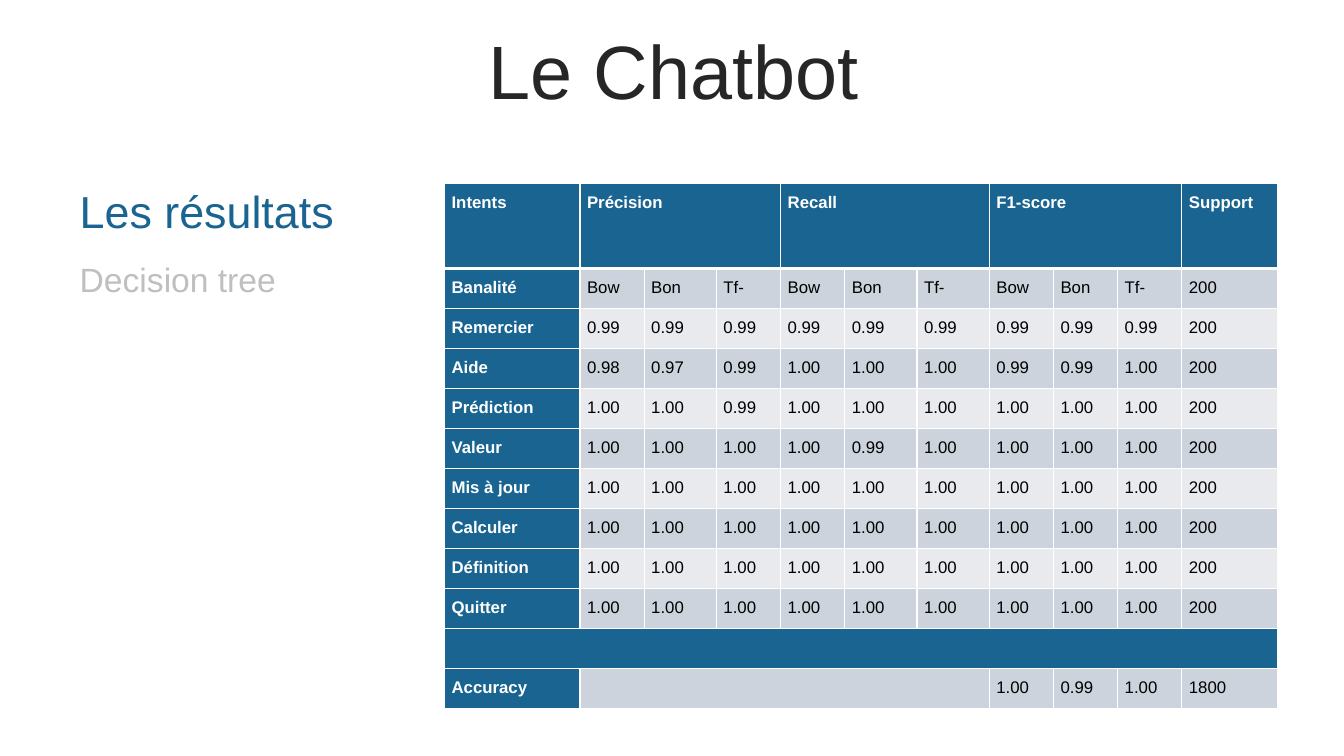
from dataclasses import dataclass
from typing import Any

from lxml.etree import SubElement
from pptx import Presentation
from pptx.dml.color import RGBColor
from pptx.enum.text import MSO_ANCHOR, MSO_AUTO_SIZE, PP_ALIGN
from pptx.oxml.ns import qn
from pptx.util import Inches, Pt

WIDTH, HEIGHT = Inches(13.33), Inches(7.5)
BLUE = RGBColor(0x19, 0x64, 0x91)
INK = RGBColor(0x26, 0x26, 0x26)
SILVER = RGBColor(0xBF, 0xBF, 0xBF)
WHITE = RGBColor(0xFF, 0xFF, 0xFF)
BLACK = RGBColor(0, 0, 0)
BAND_DARK = RGBColor(0xCC, 0xD3, 0xDC)
BAND_LIGHT = RGBColor(0xE8, 0xEA, 0xEE)


@dataclass(frozen=True)
class Box:
    left: float
    top: float
    width: float
    height: float

    def emu(self) -> tuple[int, int, int, int]:
        return (int(WIDTH * self.left / 100), int(HEIGHT * self.top / 100),
                int(WIDTH * self.width / 100), int(HEIGHT * self.height / 100))


@dataclass(frozen=True)
class Label:
    text: str
    box: Box
    size: int
    color: RGBColor


@dataclass(frozen=True)
class Span:
    row: int
    first: int
    last: int


TITLE = Label("Le Chatbot", Box(2.63, 4.67, 94.97, 10.53), 54, INK)
LABELS = [
    Label("Les résultats", Box(5.63, 24.27, 25.06, 7.2), 32, BLUE),
    Label("Decision tree", Box(5.63, 34.27, 25.06, 5.33), 24, SILVER),
]
TABLE = Box(33.08, 24.27, 61.97, 69.47)
COL_SHARES = [1.35, 0.64, 0.72, 0.64, 0.64, 0.72, 0.72, 0.64, 0.64, 0.64, 0.95]
ROW_SHARES = [0.85] + [0.4] * 11
SPANS = [Span(0, 1, 3), Span(0, 4, 6), Span(0, 7, 9), Span(10, 0, 10), Span(11, 1, 6)]
PERFECT = ["1.00"] * 9
ROWS = [
    ["Intents", "Précision", "", "", "Recall", "", "", "F1-score", "", "", "Support"],
    ["Banalité", *["Bow", "Bon", "Tf-"] * 3, "200"],
    ["Remercier", *["0.99"] * 9, "200"],
    ["Aide", "0.98", "0.97", "0.99", *["1.00"] * 3, "0.99", "0.99", "1.00", "200"],
    ["Prédiction", "1.00", "1.00", "0.99", *["1.00"] * 6, "200"],
    ["Valeur", *["1.00"] * 4, "0.99", *["1.00"] * 4, "200"],
    *[[intent, *PERFECT, "200"]
      for intent in ("Mis à jour", "Calculer", "Définition", "Quitter")],
    [""] * 11,
    ["Accuracy", *[""] * 6, "1.00", "0.99", "1.00", "1800"],
]
SEPARATOR_ROW = 10

LABEL_FRAME = {
    "word_wrap": True, "vertical_anchor": MSO_ANCHOR.MIDDLE,
    "margin_left": Inches(0.04), "margin_right": Inches(0.04),
    "margin_top": 0, "margin_bottom": 0,
}
CELL_FRAME = {
    "vertical_anchor": MSO_ANCHOR.TOP,
    "margin_left": Inches(0.07), "margin_right": Inches(0.07),
    "margin_top": 0, "margin_bottom": 0,
}
TITLE_PARAGRAPH = {"alignment": PP_ALIGN.CENTER, "line_spacing": 0.9}
LABEL_PARAGRAPH = {"alignment": PP_ALIGN.LEFT}
CELL_PARAGRAPH = {"alignment": PP_ALIGN.JUSTIFY, "line_spacing": 1.5}


def apply(target: Any, values: dict[str, Any]) -> None:
    for name, value in values.items():
        setattr(target, name, value)


def write(p: Any, text: str, size: int, color: RGBColor, bold: bool = False) -> None:
    r = p.add_run()
    r.text = text
    apply(r.font, {"name": "Arial", "size": Pt(size), "bold": bold})
    r.font.color.rgb = color


def fill_label(sp: Any, label: Label, paragraph: dict[str, Any], fit: MSO_AUTO_SIZE) -> None:
    apply(sp, dict(zip(("left", "top", "width", "height"), label.box.emu())))
    tf = sp.text_frame
    apply(tf, {**LABEL_FRAME, "auto_size": fit})
    p = tf.paragraphs[0]
    apply(p, paragraph)
    write(p, label.text, label.size, label.color)


def add_borders(cell: Any, top: int, bottom: int) -> None:
    tc_pr = cell._tc.get_or_add_tcPr()
    for side, width in {"L": 1, "R": 1, "T": top, "B": bottom}.items():
        line = SubElement(tc_pr, qn(f"a:ln{side}"), w=str(Pt(width)))
        SubElement(SubElement(line, qn("a:solidFill")), qn("a:srgbClr"), val=str(WHITE))


def draw_cell(cell: Any, row: int, col: int, text: str) -> None:
    heading = row in (0, SEPARATOR_ROW) or col == 0
    add_borders(cell, top=3 if row == 1 else 1, bottom=3 if row == 0 else 1)
    cell.fill.solid()
    band = BAND_DARK if row % 2 else BAND_LIGHT
    cell.fill.fore_color.rgb = BLUE if heading else band
    apply(cell, CELL_FRAME)
    p = cell.text_frame.paragraphs[0]
    apply(p, CELL_PARAGRAPH)
    if text:
        write(p, text, 12, WHITE if heading else BLACK, heading)
    else:
        p.font.size = Pt(12)


def draw_table(s: Any) -> None:
    box = TABLE.emu()
    tbl = s.shapes.add_table(len(ROW_SHARES), len(COL_SHARES), *box).table
    tbl.horz_banding = False
    for column, share in zip(tbl.columns, COL_SHARES):
        column.width = int(box[2] * share / sum(COL_SHARES))
    for line, share in zip(tbl.rows, ROW_SHARES):
        line.height = int(box[3] * share / sum(ROW_SHARES))
    for row, texts in enumerate(ROWS):
        for col, text in enumerate(texts):
            draw_cell(tbl.cell(row, col), row, col, text)
    for span in SPANS:
        tbl.cell(span.row, span.first).merge(tbl.cell(span.row, span.last))


def main() -> None:
    prs = Presentation()
    apply(prs, {"slide_width": WIDTH, "slide_height": HEIGHT})
    s = prs.slides.add_slide(prs.slide_layouts[5])
    fill_label(s.shapes.title, TITLE, TITLE_PARAGRAPH, MSO_AUTO_SIZE.NONE)
    for label in LABELS:
        sp = s.shapes.add_textbox(*label.box.emu())
        fill_label(sp, label, LABEL_PARAGRAPH, MSO_AUTO_SIZE.SHAPE_TO_FIT_TEXT)
    draw_table(s)
    prs.save("out.pptx")


if __name__ == "__main__":
    main()
